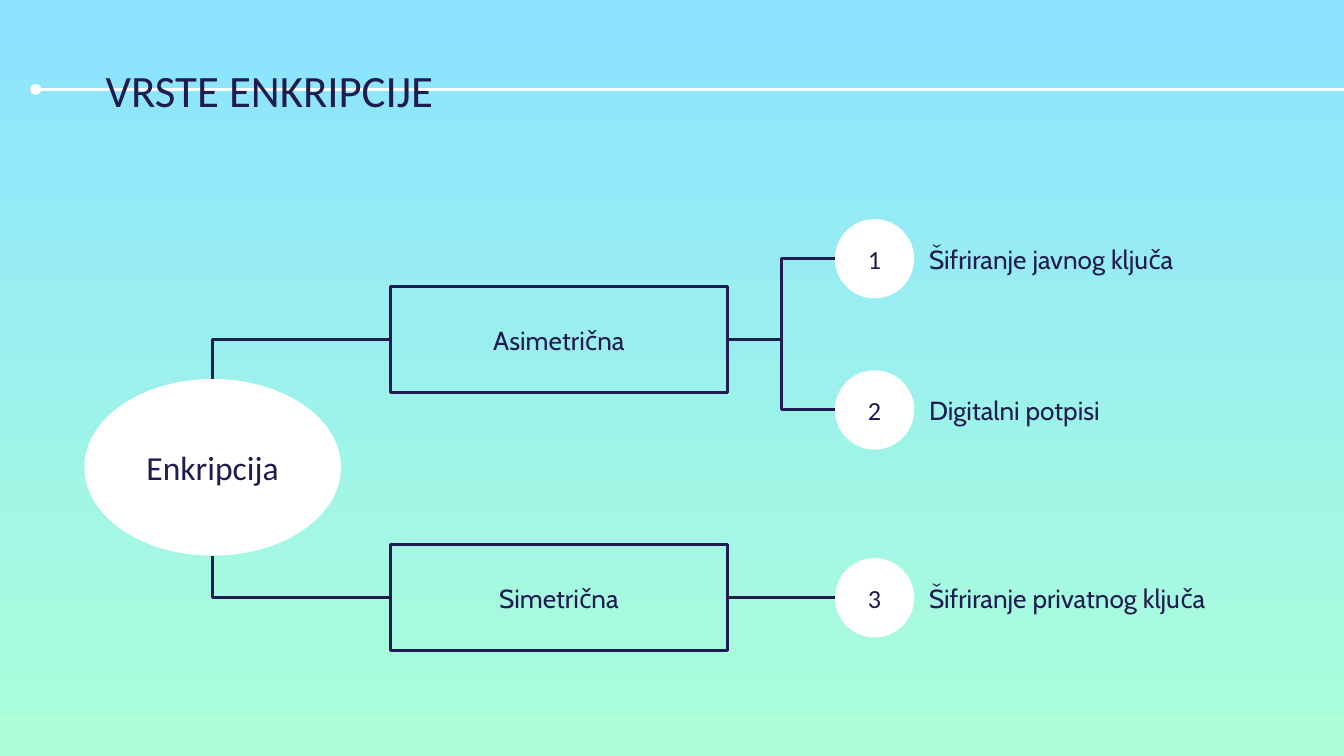
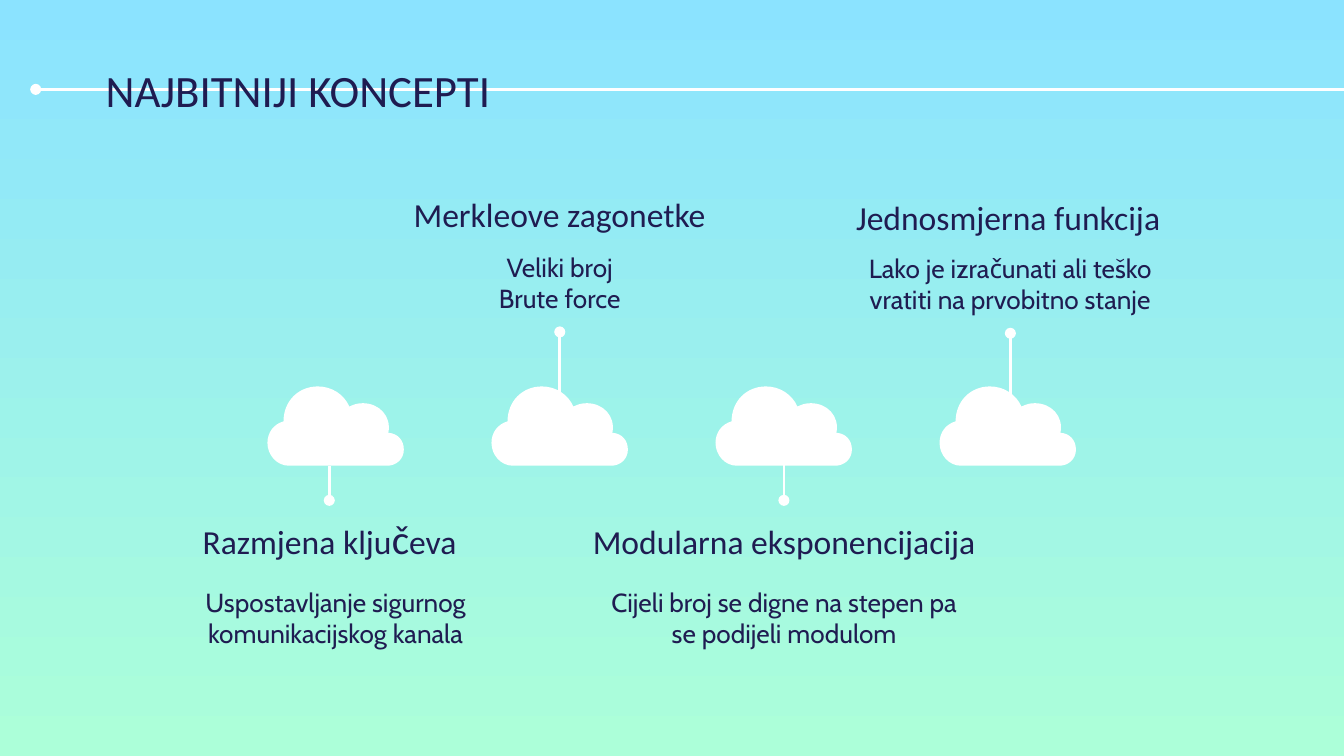
from dataclasses import dataclass, field
from itertools import groupby

from lxml import etree
from pptx import Presentation
from pptx.dml.color import RGBColor
from pptx.enum.shapes import MSO_CONNECTOR, MSO_SHAPE
from pptx.enum.text import MSO_ANCHOR, PP_ALIGN
from pptx.oxml.ns import qn
from pptx.shapes.autoshape import Shape
from pptx.shapes.connector import Connector
from pptx.slide import Slide
from pptx.text.text import TextFrame
from pptx.util import Emu, Inches, Pt

SLIDE_WIDTH, SLIDE_HEIGHT = Inches(10), Inches(5.625)
COLUMNS, ROWS = 100, 56.25
COLUMN, ROW = SLIDE_WIDTH / COLUMNS, SLIDE_HEIGHT / ROWS

SKY = RGBColor(0x8B, 0xE3, 0xFF)
MINT = RGBColor(0xAC, 0xFF, 0xD9)
NAVY = RGBColor(0x1F, 0x1C, 0x51)
WHITE = RGBColor(0xFF, 0xFF, 0xFF)

HEADING_FONT, BODY_FONT = "Calibri", "Cabin"
TITLE_SIZE, HEADING_SIZE, BODY_SIZE = 24, 18, 14
LINE_WIDTH = Pt(1.5)
INSET = Inches(0.1)

LEFT, CENTER = PP_ALIGN.LEFT, PP_ALIGN.CENTER
TOP, MIDDLE = MSO_ANCHOR.TOP, MSO_ANCHOR.MIDDLE
OVAL, RECTANGLE = MSO_SHAPE.OVAL, MSO_SHAPE.RECTANGLE
STRAIGHT, ELBOW = MSO_CONNECTOR.STRAIGHT, MSO_CONNECTOR.ELBOW

Point = tuple[float, float]


@dataclass(frozen=True)
class Box:
    """An area in grid columns and rows."""
    left: float
    top: float
    width: float
    height: float

    @property
    def right(self) -> float:
        return self.left + self.width

    @property
    def bottom(self) -> float:
        return self.top + self.height

    @property
    def center_x(self) -> float:
        return self.left + self.width / 2

    @property
    def center_y(self) -> float:
        return self.top + self.height / 2

    def to_emu(self) -> tuple[Emu, Emu, Emu, Emu]:
        return (across(self.left), down(self.top),
                across(self.width), down(self.height))


@dataclass(frozen=True)
class Leaf:
    number: str
    text: str
    top: float
    text_width: float


@dataclass(frozen=True)
class Concept:
    heading: str
    heading_box: Box
    body: str
    body_box: Box
    pin_start: Point
    pin_end_row: float
    space_after: float = 0
    letter_sizes: dict[str, float] = field(default_factory=dict)


TITLE_BOX = Box(6.88, 3.7, 66.5, 5.9)
TITLE_LINE_START: Point = (2.66, 6.65)
TITLE_LINE_END: Point = (COLUMNS + 1, 6.65)

ROOT_BOX = Box(6.27, 28.2, 19.1, 13.15)
BRANCH_LEFT, BRANCH_WIDTH, BRANCH_HEIGHT = 29.04, 25.1, 7.9
LEAF_LEFT, LEAF_DIAMETER, LEAF_TEXT_HEIGHT = 62.12, 5.9, 4.3
BRANCHES = {
    "Asimetrična": (21.33, [Leaf("1", "Šifriranje javnog ključa", 16.3, 22.4),
                            Leaf("2", "Digitalni potpisi", 27.55, 15.9)]),
    "Simetrična": (40.53, [Leaf("3", "Šifriranje privatnog ključa", 41.53, 26.6)]),
}

CLOUD_COUNT, CLOUD_LEFT, CLOUD_TOP, CLOUD_STEP = 4, 19.9, 28.75, 16.67
CLOUD_START: Point = (3.75, 0)
# Each entry holds two control points and an end point; a lone point is a straight edge.
CLOUD_EDGES: list[list[Point]] = [
    [(2.3, 0), (1.2, 1.1), (1.2, 2.6)],
    [(0.5, 2.8), (0, 3.4), (0, 4.2)],
    [(0, 5.1), (0.7, 5.9), (1.6, 5.9)],
    [(8.9, 5.9)],
    [(9.6, 5.9), (10.15, 5.4), (10.15, 4.7)],
    [(10.15, 4), (9.7, 3.5), (9, 3.45)],
    [(9.25, 2.2), (8.3, 1.25), (7.1, 1.25)],
    [(6.7, 1.25), (6.4, 1.35), (6.1, 1.5)],
    [(5.7, 0.6), (4.8, 0), CLOUD_START],
]

CONCEPTS = [
    Concept("Razmjena ključeva", Box(12.17, 37.2, 24.7, 5.9),
            "Uspostavljanje sigurnog komunikacijskog kanala",
            Box(12.98, 42.6, 24, 7.1), (24.5, 37.23), 34.7, 16, {"č": 22}),
    Concept("Merkleove zagonetke", Box(28.14, 13.4, 27, 5.9),
            "Veliki broj\nBrute force",
            Box(33.6, 17.7, 16.1, 7.1), (41.65, 24.7), 31.5),
    Concept("Modularna eksponencijacija", Box(40.9, 37.75, 34.9, 5.9),
            "Cijeli broj se digne na stepen pa se podijeli modulom",
            Box(44.1, 42.6, 28.5, 7.1), (58.33, 37.23), 33.5),
    Concept("Jednosmjerna funkcija", Box(60.62, 13.64, 28.8, 5.9),
            "Lako je izračunati ali teško vratiti na prvobitno stanje",
            Box(61.72, 17.76, 26.9, 7.1), (75.18, 24.8), 29.7, 16),
]


def across(columns: float) -> Emu:
    return Emu(round(columns * COLUMN))


def down(rows: float) -> Emu:
    return Emu(round(rows * ROW))


def write_text(frame: TextFrame, text: str, *, size: float = BODY_SIZE,
               font: str = BODY_FONT, align: PP_ALIGN = LEFT,
               anchor: MSO_ANCHOR = TOP, space_after: float = 0,
               letter_sizes: dict[str, float] | None = None) -> None:
    """Write one paragraph per line; letter_sizes sets single letters apart."""
    frame.word_wrap = True
    frame.vertical_anchor = anchor
    frame.margin_left = frame.margin_right = INSET
    frame.margin_top = frame.margin_bottom = INSET
    sizes = letter_sizes or {}
    for index, line in enumerate(text.split("\n")):
        paragraph = frame.add_paragraph() if index else frame.paragraphs[0]
        paragraph.alignment = align
        paragraph.space_after = Pt(space_after)
        for run_size, letters in groupby(line, lambda letter: sizes.get(letter, size)):
            run = paragraph.add_run()
            run.text = "".join(letters)
            run.font.size = Pt(run_size)
            run.font.name = font
            run.font.color.rgb = NAVY


def add_text(slide: Slide, box: Box, text: str, **text_format) -> None:
    write_text(slide.shapes.add_textbox(*box.to_emu()).text_frame, text, **text_format)


def fill_white(shape: Shape) -> None:
    shape.shadow.inherit = False
    shape.fill.solid()
    shape.fill.fore_color.rgb = WHITE
    shape.line.fill.background()


def add_ellipse(slide: Slide, box: Box, text: str, size: float) -> None:
    ellipse = slide.shapes.add_shape(OVAL, *box.to_emu())
    fill_white(ellipse)
    write_text(ellipse.text_frame, text, size=size, font=HEADING_FONT,
               align=CENTER, anchor=MIDDLE)


def add_frame(slide: Slide, box: Box, text: str) -> None:
    frame = slide.shapes.add_shape(RECTANGLE, *box.to_emu())
    frame.shadow.inherit = False
    frame.fill.background()
    frame.line.color.rgb = NAVY
    frame.line.width = LINE_WIDTH
    write_text(frame.text_frame, text, align=CENTER, anchor=MIDDLE)


def add_line(slide: Slide, start: Point, end: Point, color: RGBColor,
             kind: MSO_CONNECTOR = STRAIGHT) -> Connector:
    connector = slide.shapes.add_connector(
        kind, across(start[0]), down(start[1]), across(end[0]), down(end[1]))
    connector.line.color.rgb = color
    connector.line.width = LINE_WIDTH
    etree.SubElement(connector.element.spPr, qn("a:effectLst"))
    return connector


def add_corner(slide: Slide, start: Point, end: Point) -> None:
    """Connect with a single bend, leaving the start sideways."""
    connector = add_line(slide, start, end, NAVY, ELBOW)
    connector.element.spPr.find(qn("a:prstGeom")).set("prst", "bentConnector2")


def add_pin(slide: Slide, start: Point, end: Point) -> None:
    """Draw a white line with a dot at its start."""
    connector = add_line(slide, start, end, WHITE)
    outline = connector.element.spPr.find(qn("a:ln"))
    etree.SubElement(outline, qn("a:headEnd"), type="oval")


def bend_edges(shape: Shape, edges: list[list[Point]]) -> None:
    """Join the straight segments of each three-point edge into one Bézier curve."""
    segments = iter(list(shape.element.spPr.iter(qn("a:lnTo"))))
    for edge in edges:
        first, *others = [next(segments) for _ in edge]
        if others:
            curve = etree.Element(qn("a:cubicBezTo"))
            first.addprevious(curve)
            for segment in (first, *others):
                curve.append(segment[0])
                segment.getparent().remove(segment)


def add_cloud(slide: Slide, left: float, top: float) -> None:
    outline = [CLOUD_START] + [point for edge in CLOUD_EDGES for point in edge]
    start, *rest = [(across(left + x), down(top + y)) for x, y in outline]
    builder = slide.shapes.build_freeform(*start)
    builder.add_line_segments(rest, close=True)
    cloud = builder.convert_to_shape()
    bend_edges(cloud, CLOUD_EDGES)
    fill_white(cloud)


def add_titled_slide(presentation: Presentation, title: str) -> Slide:
    slide = presentation.slides.add_slide(presentation.slide_layouts[6])
    fill = slide.background.fill
    fill.gradient()
    fill.gradient_angle = 270
    for stop, color, position in zip(fill.gradient_stops, (SKY, MINT), (0, 1)):
        stop.color.rgb = color
        stop.position = position
    add_pin(slide, TITLE_LINE_START, TITLE_LINE_END)
    add_text(slide, TITLE_BOX, title, size=TITLE_SIZE, font=HEADING_FONT)
    return slide


def add_leaf(slide: Slide, leaf: Leaf, branch: Box) -> None:
    circle = Box(LEAF_LEFT, leaf.top, LEAF_DIAMETER, LEAF_DIAMETER)
    add_ellipse(slide, circle, leaf.number, BODY_SIZE)
    label = Box(circle.right + 0.12, circle.center_y - LEAF_TEXT_HEIGHT / 2,
                leaf.text_width, LEAF_TEXT_HEIGHT)
    add_text(slide, label, leaf.text, space_after=16)
    level = abs(circle.center_y - branch.center_y) < 0.1
    add_line(slide, (branch.right, branch.center_y), (circle.left, circle.center_y),
             NAVY, STRAIGHT if level else ELBOW)


def add_types_slide(presentation: Presentation) -> None:
    slide = add_titled_slide(presentation, "VRSTE ENKRIPCIJE")
    add_ellipse(slide, ROOT_BOX, "Enkripcija", HEADING_SIZE)
    for name, (top, leaves) in BRANCHES.items():
        branch = Box(BRANCH_LEFT, top, BRANCH_WIDTH, BRANCH_HEIGHT)
        add_frame(slide, branch, name)
        above = branch.center_y < ROOT_BOX.center_y
        root_edge = ROOT_BOX.top if above else ROOT_BOX.bottom
        add_corner(slide, (branch.left, branch.center_y), (ROOT_BOX.center_x, root_edge))
        for leaf in leaves:
            add_leaf(slide, leaf, branch)


def add_concepts_slide(presentation: Presentation) -> None:
    slide = add_titled_slide(presentation, "NAJBITNIJI KONCEPTI")
    for index in range(CLOUD_COUNT):
        add_cloud(slide, CLOUD_LEFT + index * CLOUD_STEP, CLOUD_TOP)
    for concept in CONCEPTS:
        add_text(slide, concept.body_box, concept.body, align=CENTER,
                 space_after=concept.space_after)
        add_text(slide, concept.heading_box, concept.heading, size=HEADING_SIZE,
                 font=HEADING_FONT, align=CENTER, letter_sizes=concept.letter_sizes)
        add_pin(slide, concept.pin_start, (concept.pin_start[0], concept.pin_end_row))


def main() -> None:
    presentation = Presentation()
    presentation.slide_width, presentation.slide_height = SLIDE_WIDTH, SLIDE_HEIGHT
    add_types_slide(presentation)
    add_concepts_slide(presentation)
    presentation.save("out.pptx")


if __name__ == "__main__":
    main()
